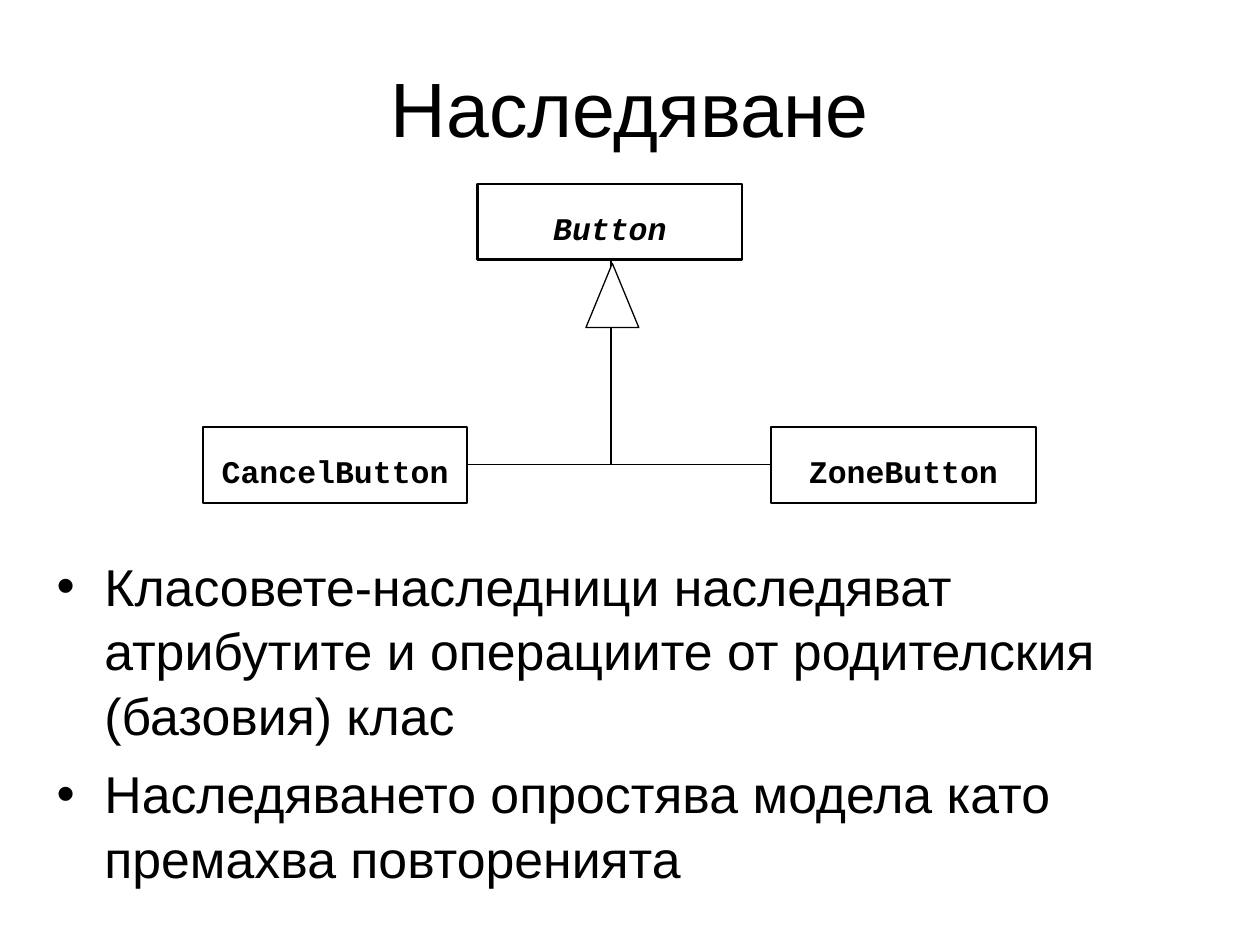
from dataclasses import dataclass

from lxml.etree import SubElement as Sub
from pptx import Presentation
from pptx.dml.color import RGBColor as Rgb
from pptx.enum.shapes import MSO_CONNECTOR as Link, MSO_SHAPE as Shape
from pptx.enum.text import MSO_ANCHOR as Anchor, PP_ALIGN as Align
from pptx.oxml.ns import qn
from pptx.util import Inches, Pt


@dataclass(frozen=True)
class Theme:
    """Colours, fonts and sizes in points."""
    ink: Rgb = Rgb(0, 0, 0)
    paper: Rgb = Rgb(255, 255, 255)
    sans: str = "Arial"
    mono: str = "Courier New"
    title: float = 44
    body: float = 29.6
    label: float = 18
    frame: float = 1.25
    thin: float = 0.75


THEME = Theme()
WIDE, HIGH = 2.1, 0.6
POINTS = [
    "Класовете-наследници наследяват атрибутите и операциите от "
    "родителския (базовия) клас",
    "Наследяването опростява модела като премахва повторенията",
]


def write(frame, lines, size, font=THEME.sans, bold=False, italic=False,
          align=Align.LEFT, anchor=Anchor.TOP, pad=(0.1, 0.05, 0.1, 0.05),
          wrap=True, bullet=False, gap=0, lead=None):
    """Fill a text frame with formatted paragraphs."""
    frame.word_wrap, frame.vertical_anchor = wrap, anchor
    (frame.margin_left, frame.margin_top,
     frame.margin_right, frame.margin_bottom) = map(Inches, pad)
    for num, line in enumerate(lines):
        par = frame.add_paragraph() if num else frame.paragraphs[0]
        par.alignment, par.line_spacing = align, lead
        par.space_before = Pt(gap if num else 0)
        if bullet:
            mark(par)
        run = par.add_run()
        run.text = line
        run.font.size, run.font.name = Pt(size), font
        run.font.bold, run.font.italic = bold, italic
        run.font.color.rgb = THEME.ink


def mark(par, hang=0.38):
    """Give a paragraph a hanging round bullet."""
    props = par._p.get_or_add_pPr()
    props.set("marL", str(Inches(hang)))
    props.set("indent", str(-Inches(hang)))
    Sub(props, qn("a:buFont"), typeface=THEME.sans)
    Sub(props, qn("a:buChar"), char="•")


def add_text(slide, left, top, wide, high, lines, size, **style):
    """Add a text box."""
    box = slide.shapes.add_textbox(*map(Inches, (left, top, wide, high)))
    write(box.text_frame, lines, size, **style)


def add_form(slide, kind, left, top, wide, high, width, fill=None):
    """Add an outlined shape."""
    form = slide.shapes.add_shape(kind, *map(Inches, (left, top, wide, high)))
    form.shadow.inherit = False
    form.line.color.rgb, form.line.width = THEME.ink, Pt(width)
    if fill is None:
        form.fill.background()
    else:
        form.fill.solid()
        form.fill.fore_color.rgb = fill
    return form


def add_class(slide, left, top, name, italic=False):
    """Add a named class box."""
    box = add_form(slide, Shape.RECTANGLE, left, top, WIDE, HIGH, THEME.frame)
    write(box.text_frame, [name], THEME.label, font=THEME.mono, bold=True,
          italic=italic, align=Align.CENTER, anchor=Anchor.MIDDLE,
          pad=(0, 0.1, 0, 0), wrap=False)


def add_bend(slide, start, end):
    """Add a one-corner connector, level first and then upright."""
    bend = slide.shapes.add_connector(Link.ELBOW, *map(Inches, start + end))
    bend.line.color.rgb, bend.line.width = THEME.ink, Pt(THEME.thin)
    props = bend._element.spPr
    props.find(qn("a:prstGeom")).set("prst", "bentConnector2")
    Sub(props, qn("a:effectLst"))


def main():
    """Build and save the slide."""
    deck = Presentation()
    deck.slide_width, deck.slide_height = Inches(10), Inches(7.5)
    slide = deck.slides.add_slide(deck.slide_layouts[6])
    add_text(slide, 0.5, 0.3, 9, 1.09, ["Наследяване"], THEME.title,
             align=Align.CENTER, anchor=Anchor.MIDDLE)
    add_text(slide, 0.35, 4.3, 9.29, 2.76, POINTS, THEME.body,
             pad=(0.1, 0.08, 0.1, 0.05), bullet=True, gap=8, lead=1.04)

    top, low, left, right = 1.46, 3.39, 1.61, 6.12
    add_class(slide, 3.79, top, "Button", italic=True)
    add_class(slide, left, low, "CancelButton")
    add_class(slide, right, low, "ZoneButton")
    for side in (left + WIDE, right):
        add_bend(slide, (side, low + HIGH / 2), (4.85, top + HIGH))
    add_form(slide, Shape.ISOSCELES_TRIANGLE, 4.65, 2.09, 0.42, 0.51,
             THEME.thin, fill=THEME.paper)
    deck.save("out.pptx")


if __name__ == "__main__":
    main()
